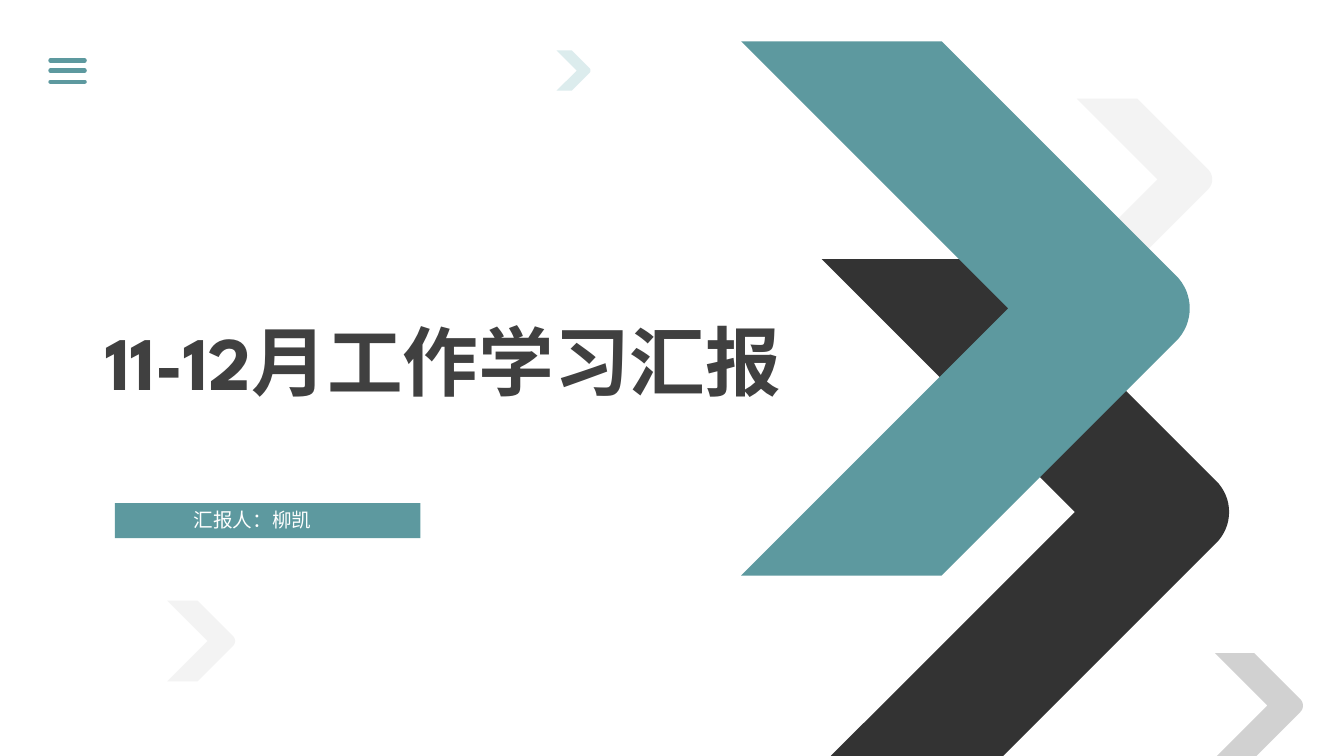
from lxml import etree
from pptx import Presentation
from pptx.dml.color import RGBColor
from pptx.enum import shapes, text
from pptx.oxml.ns import qn
from pptx.util import Inches, Pt

FONT = "League Spartan"
COLORS = {"teal": "5D999F", "black": "000000", "ink": "404040", "white": "FFFFFF",
          "pale": "F2F2F2", "grey": "CCCCCC", "mint": "D9EAEC"}
HEADING = "11-12月工作学习汇报"
PRESENTER = "汇报人：柳凯"
# left, top, half height, arm width, colour, opacity in percent
CHEVRONS = [
    (10.68, 0.98, 0.8, 0.6, "pale", 90),
    (8.15, 2.57, 2.51, 1.71, "black", 80),
    (7.35, 0.41, 2.65, 1.99, "teal", 100),
    (12.05, 6.48, 0.52, 0.39, "grey", 90),
    (1.66, 5.96, 0.4, 0.3, "pale", 90),
    (5.52, 0.5, 0.2, 0.15, "mint", 90),
]
MENU_LEFT, MENU_RIGHT = 0.5, 0.84
MENU_ROWS = [0.6, 0.7, 0.81]
SLIDE_W, SLIDE_H = 13.33, 7.5
CURVE_STEPS = 16


def rgb(name):
    return RGBColor.from_string(COLORS[name])


def rounded_tip(x, middle, radius):
    xs = (x, x + 0.57 * radius, x + 0.57 * radius, x)
    ys = [middle + radius * k for k in (-1, -0.45, 0.45, 1)]
    for step in range(CURVE_STEPS + 1):
        t = step / CURVE_STEPS
        weights = ((1 - t) ** 3, 3 * t * (1 - t) ** 2, 3 * t * t * (1 - t), t ** 3)
        yield (sum(w * v for w, v in zip(weights, xs)),
               sum(w * v for w, v in zip(weights, ys)))


def add_chevron(slide, left, top, half, arm, color, opacity):
    middle, notch = top + half, left + half
    bottom = min(top + 2 * half, SLIDE_H)
    foot = notch - (bottom - middle)
    radius = half / 8
    outline = [(left, top), (left + arm, top),
               *rounded_tip(notch + arm - radius, middle, radius),
               (foot + arm, bottom), (foot, bottom), (notch, middle)]
    points = [(Inches(x), Inches(y)) for x, y in outline]
    builder = slide.shapes.build_freeform(*points[0])
    builder.add_line_segments(points[1:], close=True)
    chevron = builder.convert_to_shape()
    fill_plain(chevron, color)
    if opacity < 100:
        tint = chevron.fill._xPr.find(qn("a:solidFill"))[0]
        etree.SubElement(tint, qn("a:alpha")).set("val", str(opacity * 1000))


def fill_plain(shape, color):
    shape.shadow.inherit = False
    shape.fill.solid()
    shape.fill.fore_color.rgb = rgb(color)
    shape.line.fill.background()


def write(shape, words, size, color, align, bold=False):
    frame = shape.text_frame
    frame.word_wrap = True
    frame.auto_size = text.MSO_AUTO_SIZE.NONE
    frame.vertical_anchor = text.MSO_ANCHOR.TOP
    paragraph = frame.paragraphs[0]
    paragraph.alignment = align
    run = paragraph.add_run()
    run.text = words
    run.font.name, run.font.size, run.font.bold = FONT, Pt(size), bold
    run.font.color.rgb = rgb(color)
    etree.SubElement(run.font._element, qn("a:ea")).set("typeface", FONT)


def add_menu_line(slide, y):
    bar = slide.shapes.add_connector(shapes.MSO_CONNECTOR.STRAIGHT, Inches(MENU_LEFT),
                                     Inches(y), Inches(MENU_RIGHT), Inches(y))
    bar.line.color.rgb = rgb("teal")
    bar.line.width = Pt(3)
    outline = bar.line._get_or_add_ln()
    outline.set("cap", "rnd")
    etree.SubElement(outline.getparent(), qn("a:effectLst"))


def main():
    deck = Presentation()
    deck.slide_width, deck.slide_height = Inches(SLIDE_W), Inches(SLIDE_H)
    slide = deck.slides.add_slide(deck.slide_layouts[5])

    for chevron in CHEVRONS:
        add_chevron(slide, *chevron)

    heading = slide.shapes.title
    heading.left, heading.top = Inches(0.95), Inches(3.07)
    heading.width, heading.height = Inches(7.4), Inches(1.92)
    write(heading, HEADING, 54, "ink", text.PP_ALIGN.LEFT, bold=True)

    band = slide.shapes.add_shape(shapes.MSO_SHAPE.RECTANGLE, Inches(1.14), Inches(4.99),
                                  Inches(3.03), Inches(0.35))
    fill_plain(band, "teal")
    presenter = slide.shapes.add_textbox(Inches(1.21), Inches(4.99), Inches(2.59), Inches(0.34))
    write(presenter, PRESENTER, 14, "white", text.PP_ALIGN.CENTER)

    for y in MENU_ROWS:
        add_menu_line(slide, y)

    deck.save("out.pptx")


if __name__ == "__main__":
    main()
